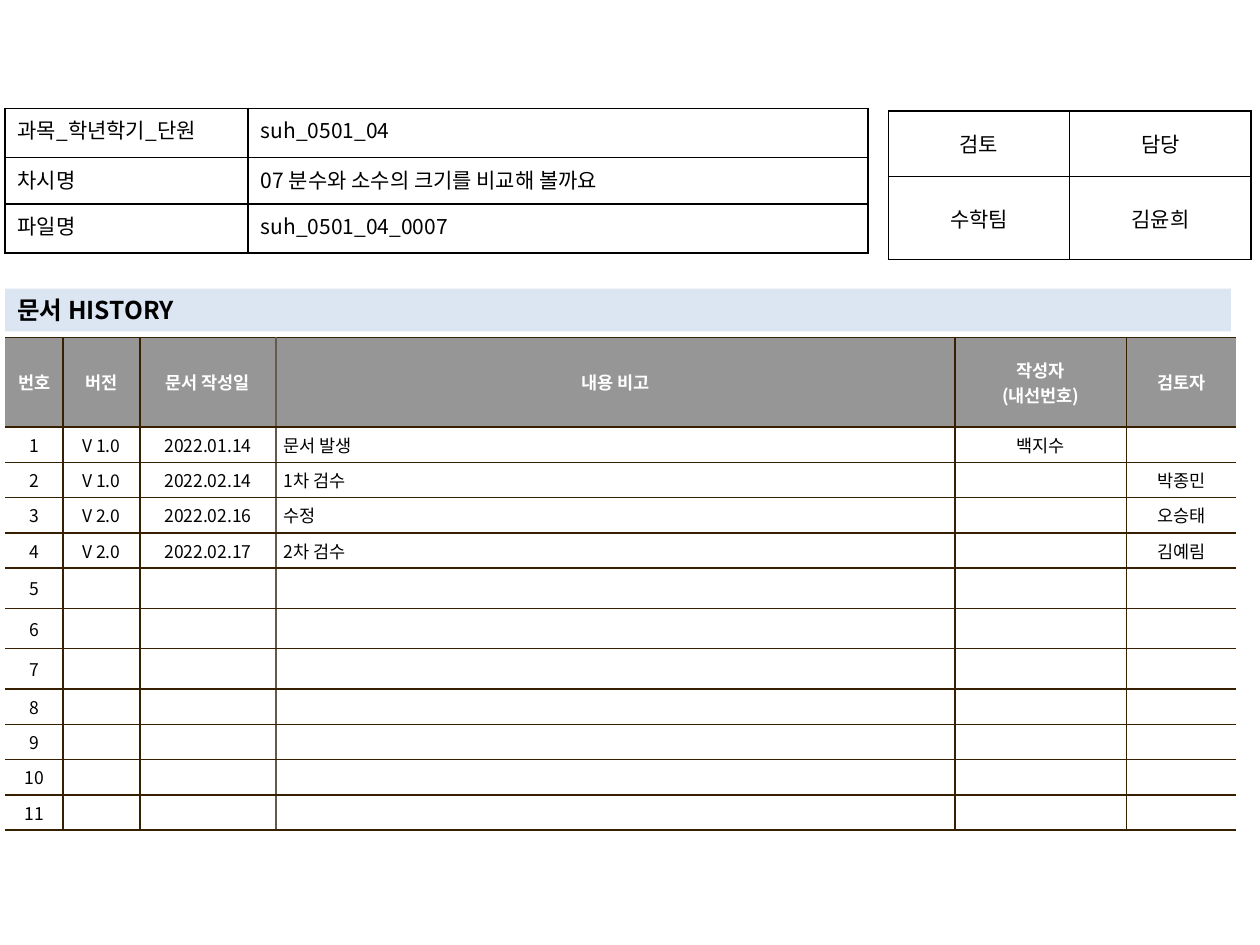
from lxml.etree import SubElement
from pptx import Presentation
from pptx.dml.color import RGBColor as Color
from pptx.enum.shapes import MSO_SHAPE as Shape
from pptx.enum.text import MSO_ANCHOR as Anchor, PP_ALIGN as Align
from pptx.oxml.ns import qn
from pptx.util import Inches, Pt

FONT = "Noto Sans CJK KR"
COLORS = {
    "ink": "000000", "white": "FFFFFF", "header": "969696",
    "bar": "DCE6F2", "rule": "362000", "soft_rule": "645B4C",
}
NO_STYLE = "{2D5ABB26-0587-4C30-8999-92F81FD0307C}"
LEFT = 0.04


def write(frame, text, align, size, color="ink", bold=False):
    """Fill a text frame, one paragraph per line of text."""
    frame.text = text
    for para in frame.paragraphs:
        para.alignment = align
        for span in para.runs:
            formats = {"size": Pt(size), "name": FONT, "bold": bold}
            for name, value in formats.items():
                setattr(span.font, name, value)
            span.font.color.rgb = Color.from_string(COLORS[color])
            SubElement(span._r.rPr, qn("a:ea"), typeface=FONT)
        if not para.runs:
            para._p.get_or_add_endParaRPr().set("sz", str(size * 100))


def add_grid(page, left, top, widths, heights, margins, borders):
    """Add a plain table; borders(column) gives the colour of each cell side."""
    frame = page.shapes.add_table(
        len(heights), len(widths), Inches(left), Inches(top),
        Inches(sum(widths)), Inches(sum(heights)))
    table = frame.table
    table.first_row = table.horz_banding = False
    table._tbl.tblPr.find(qn("a:tableStyleId")).text = NO_STYLE
    for column, width in zip(table.columns, widths):
        column.width = Inches(width)
    for row, height in zip(table.rows, heights):
        row.height = Inches(height)
        for index, cell in enumerate(row.cells):
            cell.margin_left = cell.margin_right = Inches(margins[0])
            cell.margin_top = cell.margin_bottom = Inches(margins[1])
            for side, color in borders(index).items():
                line = SubElement(cell._tc.get_or_add_tcPr(),
                                  qn(f"a:ln{side}"), w=str(Pt(1)))
                fill = SubElement(line, qn("a:solidFill"))
                SubElement(fill, qn("a:srgbClr"), val=COLORS[color])
            cell.fill.background()
    return table


deck = Presentation()
deck.slide_width, deck.slide_height = Inches(10), Inches(7.5)
page = deck.slides.add_slide(deck.slide_layouts[6])

# Document history: outer sides stay open, the date column ends softly
history_rows = [
    ["번호", "버전", "문서 작성일", "내용 비고", "작성자\n(내선번호)", "검토자"],
    ["1", "V 1.0", "2022.01.14", "문서 발생", "백지수", ""],
    ["2", "V 1.0", "2022.02.14", "1차 검수", "", "박종민"],
    ["3", "V 2.0", "2022.02.16", "수정", "", "오승태"],
    ["4", "V 2.0", "2022.02.17", "2차 검수", "", "김예림"],
] + [[str(number)] + [""] * 5 for number in range(5, 12)]
history_widths = [0.46, 0.61, 1.08, 5.39, 1.36, 0.87]
history_heights = [0.71] + [0.28] * 4 + [0.32] * 3 + [0.28] * 4
NOTE = 3
edges = [None, "rule", "rule", "soft_rule", "rule", "rule", None]


def history_borders(column):
    sides = {"L": edges[column], "R": edges[column + 1], "T": "rule", "B": "rule"}
    return {side: color for side, color in sides.items() if color}


history = add_grid(page, LEFT, 2.68, history_widths, history_heights,
                   (0.06, 0.04), history_borders)
for r, texts in enumerate(history_rows):
    header = r == 0
    for c, text in enumerate(texts):
        cell = history.cell(r, c)
        cell.vertical_anchor = Anchor.MIDDLE
        cell.fill.solid()
        cell.fill.fore_color.rgb = Color.from_string(
            COLORS["header" if header else "white"])
        align = Align.LEFT if c == NOTE and not header else Align.CENTER
        write(cell.text_frame, text, align, 10,
              "white" if header else "ink", header)

# Sign-off and lesson details share one look
details = [
    (7.05, 0.88, [1.44, 1.44], [0.52, 0.66], Anchor.MIDDLE,
     [Align.CENTER, Align.CENTER],
     [["검토", "담당"], ["수학팀", "김윤희"]]),
    (LEFT, 0.86, [1.93, 4.92], [0.39, 0.37, 0.39], Anchor.TOP,
     [Align.JUSTIFY, Align.LEFT],
     [["과목_학년학기_단원", "suh_0501_04"],
      ["차시명", "07 분수와 소수의 크기를 비교해 볼까요"],
      ["파일명", "suh_0501_04_0007"]]),
]
for left, top, widths, heights, anchor, aligns, rows in details:
    table = add_grid(page, left, top, widths, heights, (0.1, 0.05),
                     lambda column: dict.fromkeys("LRTB", "ink"))
    for r, texts in enumerate(rows):
        for c, text in enumerate(texts):
            table.cell(r, c).vertical_anchor = anchor
            write(table.cell(r, c).text_frame, text, aligns[c], 12)

# Section bar
bar = page.shapes.add_shape(Shape.RECTANGLE, Inches(LEFT), Inches(2.29),
                            Inches(9.73), Inches(0.34))
bar.shadow.inherit = False
bar.fill.solid()
bar.fill.fore_color.rgb = Color.from_string(COLORS["bar"])
bar.line.fill.background()
bar.text_frame.vertical_anchor = Anchor.MIDDLE
write(bar.text_frame, "문서 HISTORY", Align.LEFT, 14, bold=True)

deck.save("out.pptx")
